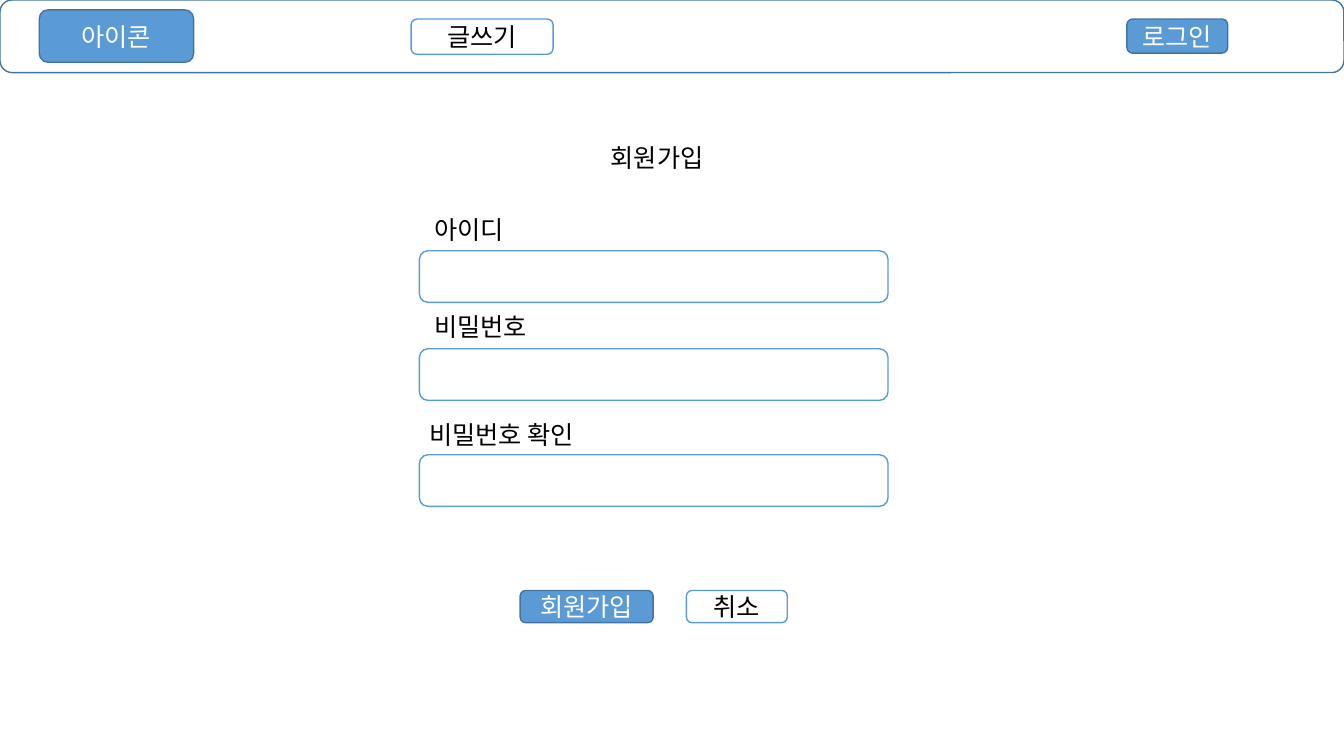
from collections import namedtuple
from dataclasses import dataclass

from lxml import etree
from pptx import Presentation
from pptx.dml.color import RGBColor
from pptx.enum.shapes import MSO_SHAPE
from pptx.enum.text import MSO_ANCHOR, MSO_AUTO_SIZE, PP_ALIGN
from pptx.oxml.ns import qn
from pptx.util import Cm, Pt

ROUNDED = MSO_SHAPE.ROUNDED_RECTANGLE
MIDDLE = MSO_ANCHOR.MIDDLE
CENTER = PP_ALIGN.CENTER
GROW = MSO_AUTO_SIZE.SHAPE_TO_FIT_TEXT

# Lengths in centimetres
Box = namedtuple("Box", "left top width height")
Style = namedtuple("Style", "fill line ink")


@dataclass(frozen=True)
class Theme:
    font: str = "Noto Sans CJK KR"
    size: int = 18
    line_width: int = 1
    ink: str = "000000"
    filled: Style = Style("5B9BD5", "43739E", "FFFFFF")
    outlined: Style = Style("FFFFFF", "5B9BD5", "000000")
    bar: Style = Style("FFFFFF", "43739E", "000000")


THEME = Theme()


def within(region, left, top, width, height):
    return Box(region.left + left, region.top + top, width, height)


def lengths(box):
    return [Cm(value) for value in box]


def add_span(para, text, color):
    span = para.add_run()
    span.text = text
    span.font.size = Pt(THEME.size)
    span.font.color.rgb = RGBColor.from_string(color)
    span.font.name = THEME.font
    # East Asian typeface for the Korean text
    properties = span.font._element
    etree.SubElement(properties, qn("a:ea"), typeface=THEME.font)


def add_panel(page, box, style, text=""):
    panel = page.shapes.add_shape(ROUNDED, *lengths(box))
    panel.shadow.inherit = False
    panel.fill.solid()
    panel.fill.fore_color.rgb = RGBColor.from_string(style.fill)
    panel.line.color.rgb = RGBColor.from_string(style.line)
    panel.line.width = Pt(THEME.line_width)
    if text:
        frame = panel.text_frame
        frame.vertical_anchor = MIDDLE
        para = frame.paragraphs[0]
        para.alignment = CENTER
        add_span(para, text, style.ink)


def add_label(page, box, text):
    frame = page.shapes.add_textbox(*lengths(box)).text_frame
    frame.word_wrap = False
    frame.auto_size = GROW
    add_span(frame.paragraphs[0], text, THEME.ink)


def add_header(page, region):
    add_panel(page, region, THEME.bar)
    # Icon and navigation buttons
    add_panel(page, within(region, 0.99, 0.25, 3.89, 1.32), THEME.filled, "아이콘")
    add_panel(page, within(region, 10.36, 0.48, 3.58, 0.89), THEME.outlined, "글쓰기")
    add_panel(page, within(region, 28.4, 0.48, 2.54, 0.86), THEME.filled, "로그인")


def add_signup_form(page, region):
    label_height, field_height = 1.02, 1.3
    add_label(page, within(region, 4.57, 0, 3.07, label_height), "회원가입")

    # Labelled input fields: text, indent, width, label top, field top
    fields = [
        ("아이디", 0.12, 2.44, 1.83, 2.87),
        ("비밀번호", 0.12, 3.07, 4.27, 5.34),
        ("비밀번호 확인", 0, 4.6, 6.99, 8.01),
    ]
    for text, indent, width, label_top, field_top in fields:
        field = within(region, 0, field_top, region.width, field_height)
        add_panel(page, field, THEME.outlined)
        add_label(page, within(region, indent, label_top, width, label_height), text)

    # Submit and cancel buttons
    button_top, button_height = region.height - 0.81, 0.81
    buttons = [
        ("회원가입", 2.54, 3.35, THEME.filled),
        ("취소", 6.73, 2.54, THEME.outlined),
    ]
    for text, left, width, style in buttons:
        add_panel(page, within(region, left, button_top, width, button_height), style, text)


def main():
    deck = Presentation()
    deck.slide_width, deck.slide_height = Cm(33.87), Cm(19.05)
    page = deck.slides.add_slide(deck.slide_layouts[6])
    add_header(page, Box(0, 0, 33.87, 1.83))
    add_signup_form(page, Box(10.57, 3.45, 11.81, 12.24))
    deck.save("out.pptx")


if __name__ == "__main__":
    main()
